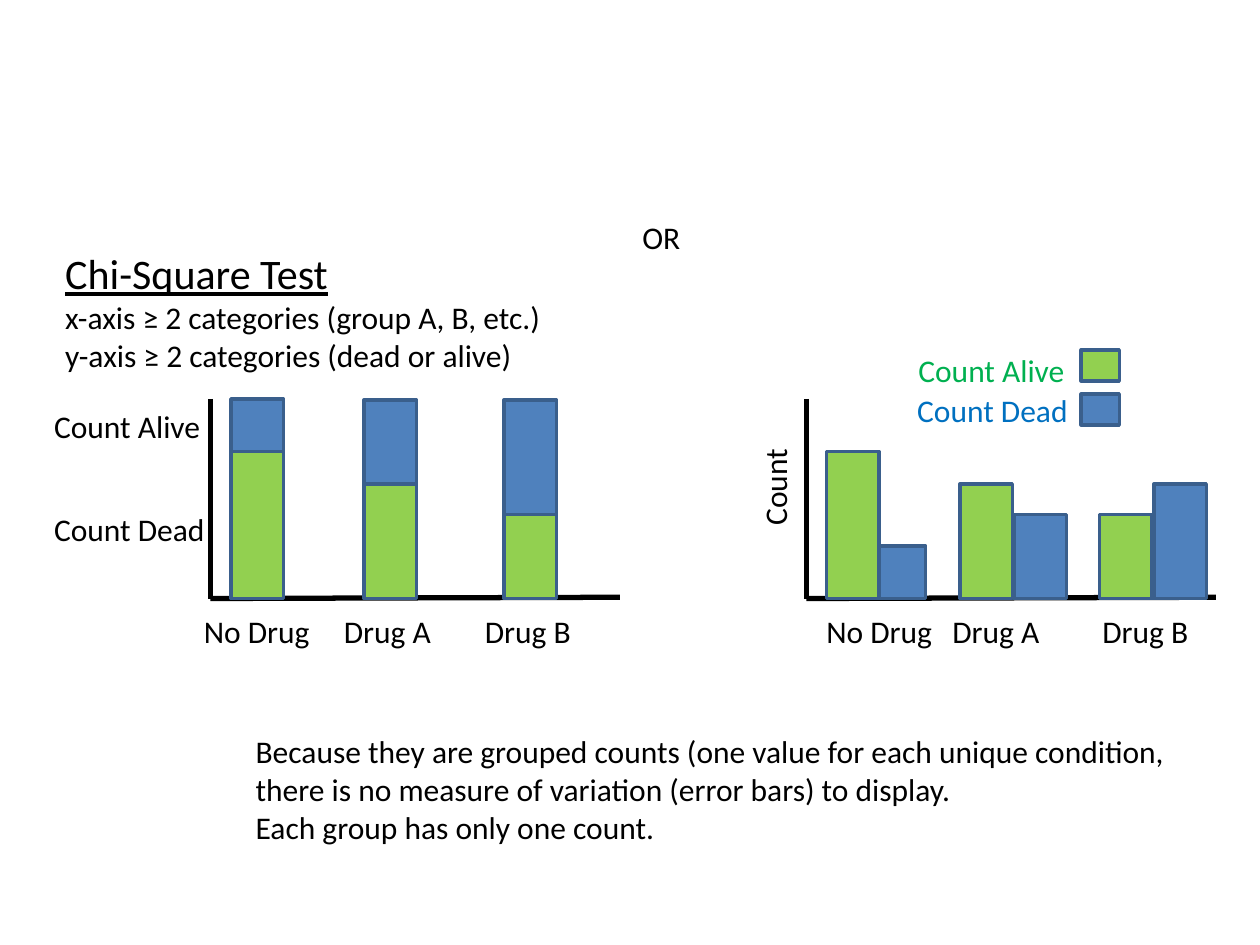
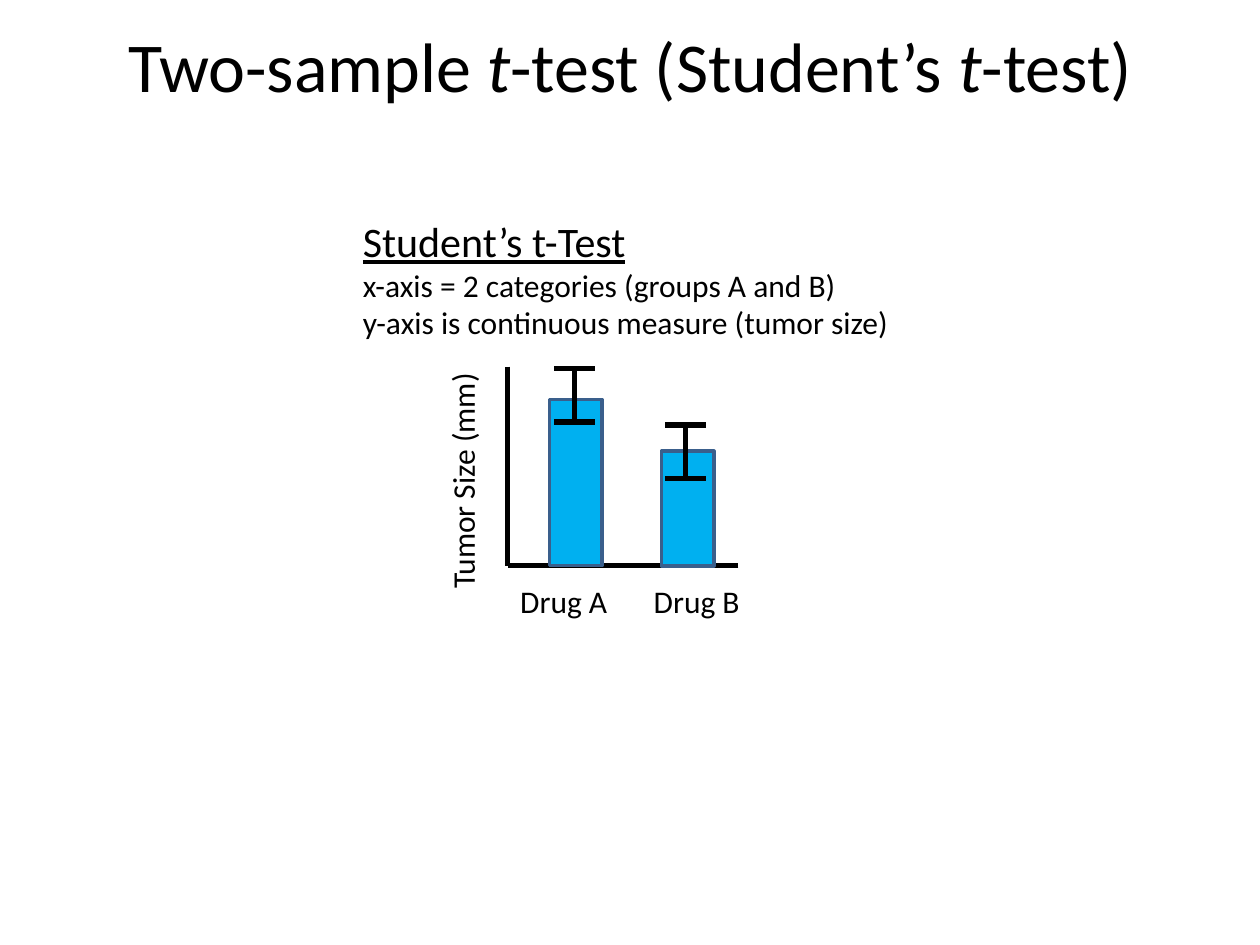
"""Build two slides that sketch the chi-square test and the two-sample t-test."""
import pptx
import pptx.dml.color
import pptx.enum.shapes
import pptx.enum.text
import pptx.oxml
import pptx.util

Pt = pptx.util.Pt
RGB = pptx.dml.color.RGBColor.from_string
theme = {
    "ink": RGB("000000"), "edge": RGB("3A5F8C"),
    "alive": RGB("92D050"), "dead": RGB("4F81BD"), "tumor": RGB("00B0F0"),
    "green": RGB("00B050"), "blue": RGB("0070C0"),
    "title": {"name": "Calibri", "size": Pt(40)},
    "head": {"name": "Calibri", "size": Pt(24), "underline": True},
    "body": {"name": "Calibri", "size": Pt(18)},
    "axis": Pt(3), "rim": Pt(2),
}


def style(font, kind, hue="ink"):
    for key, value in theme[kind].items():
        setattr(font, key, value)
    font.color.rgb = theme[hue]


def rule(shapes, *ends):
    line = shapes.add_connector(
        pptx.enum.shapes.MSO_CONNECTOR.STRAIGHT, *map(Pt, ends))
    line.line.color.rgb = theme["ink"]
    line.line.width = theme["axis"]
    line._element.spPr.append(pptx.oxml.parse_xml(
        '<a:effectLst xmlns:a="http://schemas.openxmlformats.org/drawingml/2006/main"/>'))


deck = pptx.Presentation()
deck.slide_width, deck.slide_height = Pt(720), Pt(540)
chi = deck.slides.add_slide(deck.slide_layouts[6])
pair = deck.slides.add_slide(deck.slide_layouts[5])

title = pair.shapes.title
for key, value in {"left": 36, "top": 0, "width": 648, "height": 74}.items():
    setattr(title, key, Pt(value))
title.text_frame.vertical_anchor = pptx.enum.text.MSO_ANCHOR.MIDDLE
para = title.text_frame.paragraphs[0]
para.alignment = pptx.enum.text.PP_ALIGN.CENTER
for words in ("Two-sample ", "t", "-test (Student’s ", "t", "-test)"):
    run = para.add_run()
    run.text = words
    style(run.font, "title")
    run.font.italic = words == "t"

base, floor, width = 342, 323.3, 30
for slide, left, right, top, foot, tip in (
        (chi, 120.2, 354.2, 228, base, 341.3),
        (chi, 460.8, 694.8, 228, base, 341.3),
        (pair, 290.2, 421.9, 209.5, floor, floor)):
    rule(slide.shapes, left, top, left, foot)
    rule(slide.shapes, right, tip, left, foot)

bars = []
shift = 340.4
for left, alive, dead, step in ((132, 84, 30, 26.6), (208.1, 65.5, 48, 31), (288, 48, 65.5, 31)):
    bars += [
        (chi, left, base - alive - dead, width, dead, "dead"),
        (chi, left, base - alive, width, alive, "alive"),
        (chi, left + shift + step, base - dead, width, dead, "dead"),
        (chi, left + shift, base - alive, width, alive, "alive"),
    ]
for row, hue in enumerate(("alive", "dead")):
    bars.append((chi, 617.8, 200 + 25.2 * row, 21.8, 17.6, hue))
for left, tall in ((314, 95), (378, 65.5)):
    bars.append((pair, left, floor - tall, width, tall, "tumor"))

for slide, left, top, wide, tall, hue in bars:
    bar = slide.shapes.add_shape(
        pptx.enum.shapes.MSO_SHAPE.RECTANGLE, *map(Pt, (left, top, wide, tall)))
    bar.shadow.inherit = False
    bar.fill.solid()
    bar.fill.fore_color.rgb = theme[hue]
    bar.line.color.rgb = theme["edge"]
    bar.line.width = theme["rim"]

for mid, top in ((328.3, 210.4), (391.7, 242.8)):
    group = pair.shapes.add_group_shape().shapes
    low = top + 30.8
    rule(group, mid, top, mid, low)
    for cap in (top, low):
        rule(group, mid - 11.5, cap, mid + 11.5, cap)

chi_head = ("Chi-Square Test", "x-axis ≥ 2 categories (group A, B, etc.)",
            "y-axis ≥ 2 categories (dead or alive)")
pair_head = ("Student’s t-Test", "x-axis = 2 categories (groups A and B)",
             "y-axis is continuous measure (tumor size)")
note = ("Because they are grouped counts (one value for each unique condition,",
        "there is no measure of variation (error bars) to display.",
        "Each group has only one count.")
tall = 29
texts = [
    (chi, (30.2, 138.2, 287.3, 80), chi_head, "head", "ink", True, 0),
    (pair, (200.2, 119.5, 318.2, 80), pair_head, "head", "ink", True, 0),
    (chi, (139, 414.7, 545, 72.7), note, "body", "ink", False, 0),
    (chi, (360, 121, 41.8, tall), ["OR"], "body", "ink", True, 0),
    (chi, (413.3, 263.5, 59, tall), ["Count"], "body", "ink", False, 270),
    (pair, (193.7, 258.5, 141.1, tall), ["Tumor Size (mm)"], "body", "ink", True, 270),
]
for words, left, top, wide, hue in (
        ("Count Alive", 23.8, 229, 99.4, "ink"), ("Count Dead", 23.8, 288, 101.5, "ink"),
        ("Count Alive", 517.7, 197.3, 99.4, "green"), ("Count Dead", 517, 219.6, 101.5, "blue")):
    texts.append((chi, (left, top, wide, tall), [words], "body", hue, False, 0))
for slide, top, names, lefts in (
        (chi, 346.3, ("No Drug", "Drug A", "Drug B"), (109.4, 189.4, 270)),
        (chi, 346.3, ("No Drug", "Drug A", "Drug B"), (465.1, 537.1, 622.8)),
        (pair, 329, ("Drug A", "Drug B"), (290.2, 366.5))):
    for name, left in zip(names, lefts):
        texts.append((slide, (left, top, 76.3, tall), [name], "body", "ink", True, 0))

for slide, place, lines, kind, hue, wrap, turn in texts:
    box = slide.shapes.add_textbox(*map(Pt, place))
    box.rotation = turn
    frame = box.text_frame
    frame.word_wrap = wrap
    frame.auto_size = pptx.enum.text.MSO_AUTO_SIZE.SHAPE_TO_FIT_TEXT
    for row, words in enumerate(lines):
        para = frame.add_paragraph() if row else frame.paragraphs[0]
        run = para.add_run()
        run.text = words
        style(run.font, "body" if row else kind, hue)

deck.save("out.pptx")
